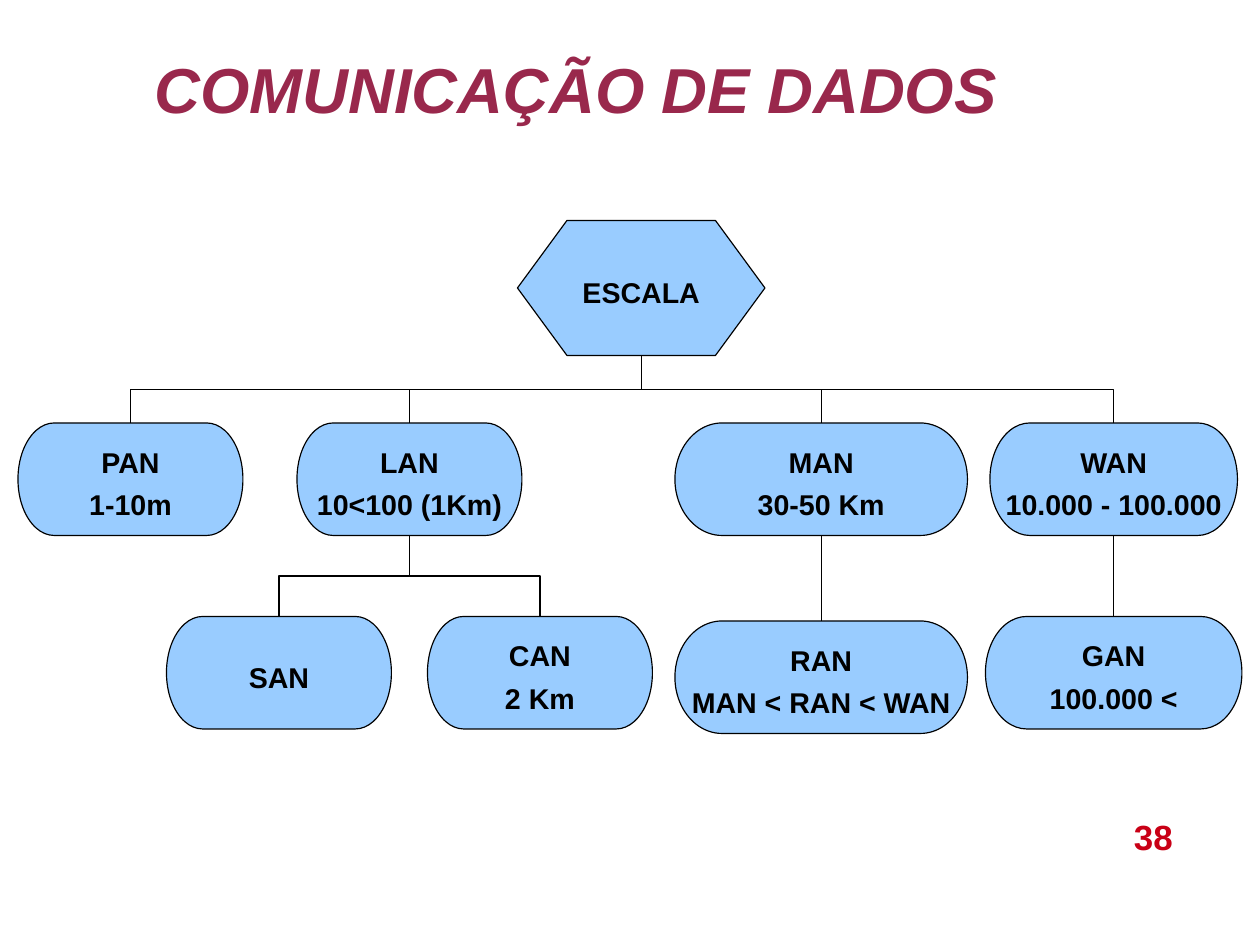
import pptx
import pptx.util
import pptx.dml.color
import pptx.enum.shapes
import pptx.enum.text
import pptx.oxml

PX = 9000
SHAPE = pptx.enum.shapes.MSO_SHAPE
CONNECTOR = pptx.enum.shapes.MSO_CONNECTOR
ALIGN = pptx.enum.text.PP_ALIGN
ANCHOR = pptx.enum.text.MSO_ANCHOR
AUTO = pptx.enum.text.MSO_AUTO_SIZE
RGB = pptx.dml.color.RGBColor.from_string

THEME = {
    "fill": RGB("99CCFF"),
    "line": RGB("000000"),
    "line_width": pptx.util.Pt(0.75),
    "spacing": 1.24,
    "title": {"size": 40, "color": "99284C", "bold": True, "italic": True},
    "node": {"size": 18, "color": "000000", "bold": True},
    "number": {"size": 22, "color": "C90016", "bold": True},
}


def px(*values):
    return [pptx.util.Emu(v * PX) for v in values]


def write(tf, lines, style, frame, para):
    for name, value in frame.items():
        setattr(tf, name, value)
    for i, line in enumerate(lines):
        p = tf.paragraphs[0] if i == 0 else tf.add_paragraph()
        for name, value in para.items():
            setattr(p, name, value)
        r = p.add_run()
        r.text = line
        font = {"name": "Arial", "bold": style["bold"],
                "italic": style.get("italic", False),
                "size": pptx.util.Pt(style["size"])}
        for name, value in font.items():
            setattr(r.font, name, value)
        r.font.color.rgb = RGB(style["color"])


prs = pptx.Presentation()
prs.slide_width, prs.slide_height = px(1120, 840)
s = prs.slides.add_slide(prs.slide_layouts.get_by_name("Title Only"))
centred = {"alignment": ALIGN.CENTER, "line_spacing": THEME["spacing"]}

title = s.shapes.title
title.left, title.top, title.width, title.height = px(8, 5, 1008, 130)
write(title.text_frame, ["COMUNICAÇÃO DE DADOS"], THEME["title"],
      {"margin_left": 0, "margin_right": 0, "margin_top": 0, "margin_bottom": 0,
       "vertical_anchor": ANCHOR.MIDDLE, "word_wrap": True,
       "auto_size": AUTO.SHAPE_TO_FIT_TEXT}, centred)

NODES = [
    ("ESCALA", None, 460, 196, 220),
    ("PAN", "1-10m", 16, 376, 200),
    ("LAN", "10<100 (1Km)", 264, 376, 200),
    ("MAN", "30-50 Km", 600, 376, 260),
    ("WAN", "10.000 - 100.000", 880, 376, 220),
    ("SAN", None, 148, 548, 200),
    ("CAN", "2 Km", 380, 548, 200),
    ("RAN", "MAN < RAN < WAN", 600, 552, 260),
    ("GAN", "100.000 <", 876, 548, 228),
]
nodes = {}
for name, reach, left, top, width in NODES:
    root = name == "ESCALA"
    kind = SHAPE.FLOWCHART_PREPARATION if root else SHAPE.FLOWCHART_TERMINATOR
    sp = s.shapes.add_shape(kind, *px(left, top, width, 120 if root else 100))
    sp.shadow.inherit = False
    sp.fill.solid()
    sp.fill.fore_color.rgb = THEME["fill"]
    sp.line.color.rgb = THEME["line"]
    sp.line.width = THEME["line_width"]
    write(sp.text_frame, [name, reach] if reach else [name], THEME["node"],
          {"vertical_anchor": ANCHOR.MIDDLE, "word_wrap": False}, centred)
    nodes[name] = sp

LINKS = {"ESCALA": ["PAN", "LAN", "MAN", "WAN"], "LAN": ["SAN", "CAN"],
         "MAN": ["RAN"], "WAN": ["GAN"]}
BOTTOM, TOP = 2, 0
for upper, children in LINKS.items():
    for lower in children:
        a, b = nodes[upper], nodes[lower]
        x1, y1 = a.left + a.width // 2, a.top + a.height
        x2, y2 = b.left + b.width // 2, b.top
        kind = CONNECTOR.STRAIGHT if x1 == x2 else CONNECTOR.ELBOW
        c = s.shapes.add_connector(kind, x1, y1, x2, y2)
        c.begin_connect(a, BOTTOM)
        c.end_connect(b, TOP)
        if x1 != x2:
            run, drop = abs(x2 - x1), y2 - y1
            c.left, c.top = (x1 + x2 - drop) // 2, (y1 + y2 - run) // 2
            c.width, c.height = drop, run
            xfrm = c._element.spPr.xfrm
            xfrm.set("rot", str((90 if x2 < x1 else 270) * 60000))
            xfrm.set("flipH", "0" if x2 < x1 else "1")
        c.line.color.rgb = THEME["line"]
        c.line.width = THEME["line_width"]
        c._element.spPr.append(pptx.oxml.parse_xml(
            '<a:effectLst xmlns:a="http://schemas.openxmlformats.org/drawingml/2006/main"/>'))

number = s.shapes.add_textbox(*px(998, 720, 170, 48))
write(number.text_frame, ["38"], THEME["number"],
      {"word_wrap": False, "auto_size": AUTO.SHAPE_TO_FIT_TEXT},
      {"alignment": ALIGN.LEFT})

prs.save("out.pptx")
